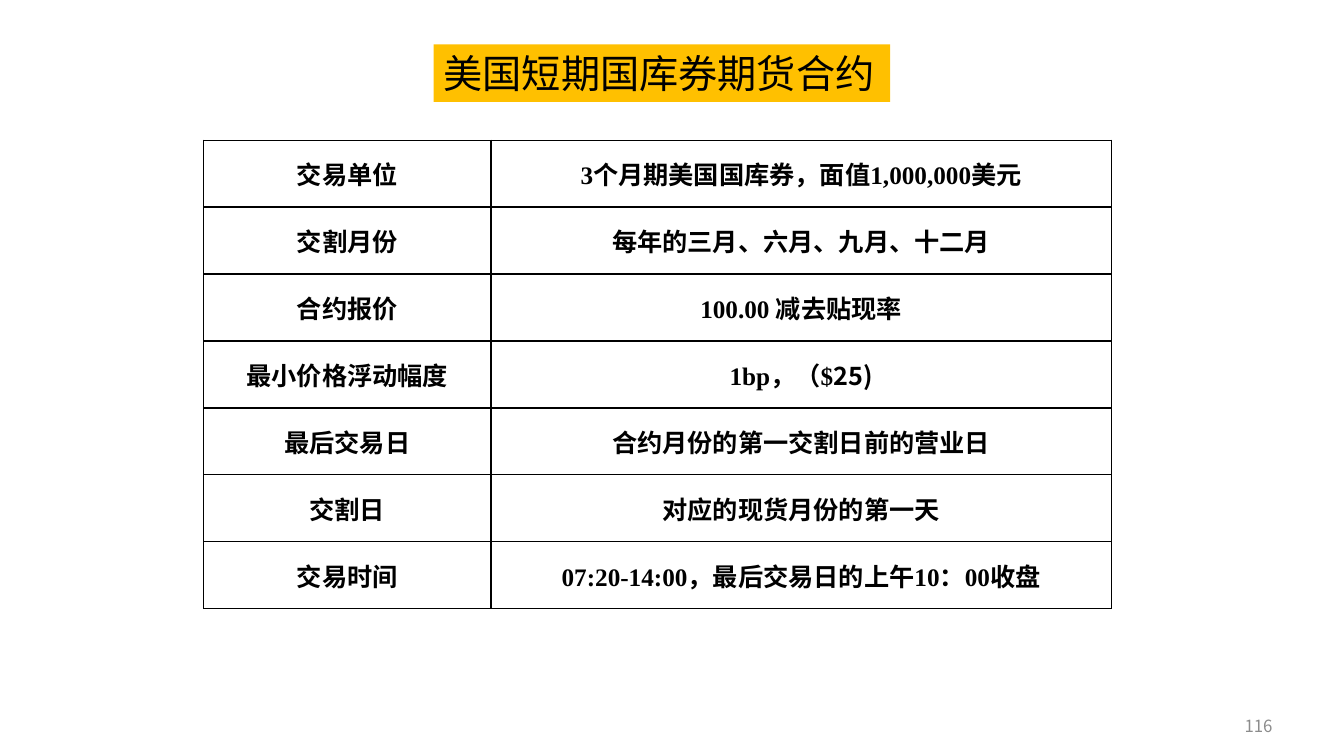
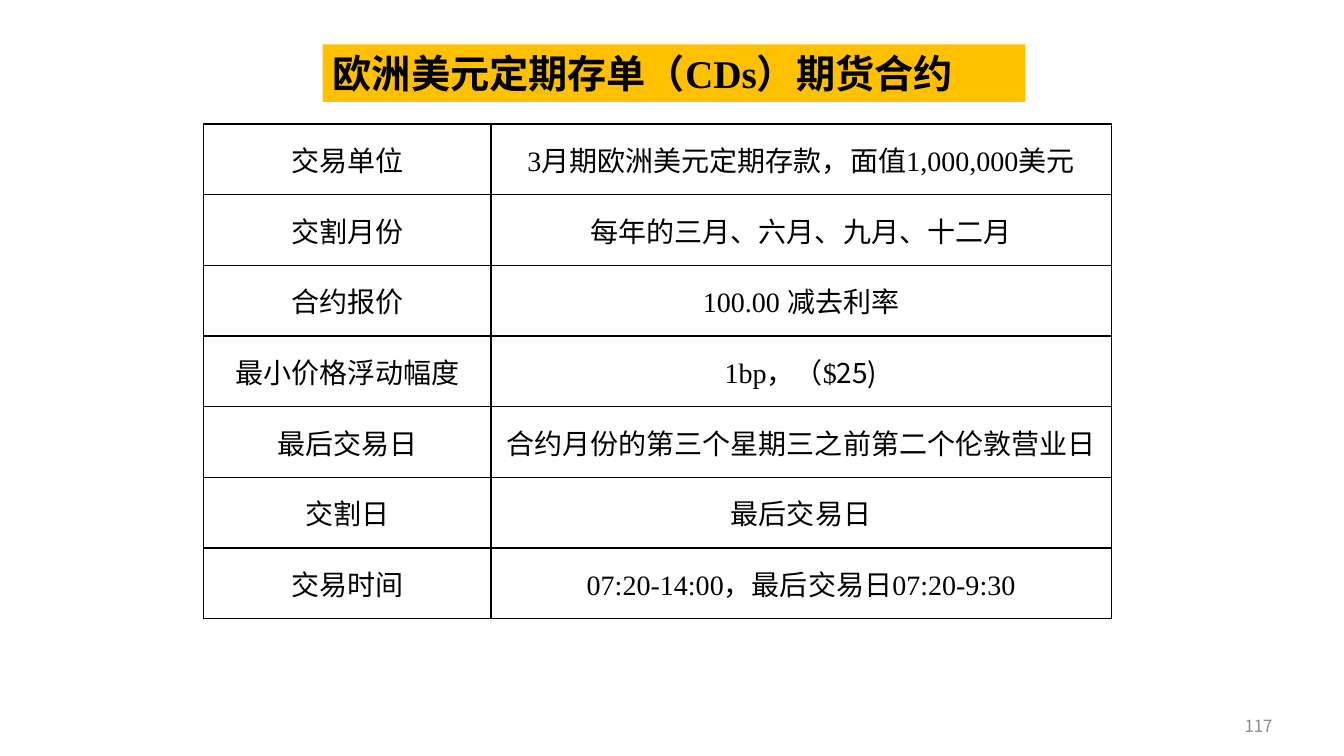
from dataclasses import dataclass

from lxml.etree import SubElement
from pptx import Presentation
from pptx.dml.color import RGBColor
from pptx.enum.text import MSO_ANCHOR, MSO_AUTO_SIZE, PP_ALIGN
from pptx.oxml import parse_xml
from pptx.oxml.ns import nsdecls, qn
from pptx.util import Inches, Pt


@dataclass(frozen=True)
class Theme:
    ink: str = "000000"
    paper: str = "FFFFFF"
    band: str = "FFC000"
    muted: str = "8C8C8C"
    sans: str = "Noto Sans CJK SC"
    serif: str = "Times New Roman"
    title_size: int = 28
    number_size: int = 12
    border_width: int = 1


THEME = Theme()
SLIDE_SIZE = (13.33, 7.5)
NUMBER_BOX = (10.24, 6.9, 2.48, 0.6)
TITLE_TOP, TITLE_HEIGHT = 0.44, 0.57
TABLE_LEFT = 2.02
COLUMNS = (2.85, 6.15)

TERMS = ("交易单位", "交割月份", "合约报价", "最小价格浮动幅度",
         "最后交易日", "交割日", "交易时间")
MONTHS = "每年的三月、六月、九月、十二月"
TICK = (("1bp，（$", THEME.serif), ("25)", THEME.sans))

CONTRACTS = (
    {
        "number": "116",
        "title": "美国短期国库券期货合约",
        "title_span": (4.3, 4.53),
        "title_font": {"face": THEME.sans, "bold": False},
        "table_span": (1.39, 4.65),
        "body_font": {"size": 18, "bold": True},
        "details": (
            "3个月期美国国库券，面值1,000,000美元",
            MONTHS,
            "100.00 减去贴现率",
            TICK,
            "合约月份的第一交割日前的营业日",
            "对应的现货月份的第一天",
            "07:20-14:00，最后交易日的上午10：00收盘",
        ),
    },
    {
        "number": "117",
        "title": "欧洲美元定期存单（CDs）期货合约",
        "title_span": (3.2, 6.97),
        "title_font": {"face": THEME.serif, "bold": True},
        "table_span": (1.23, 4.91),
        "body_font": {"size": 20, "bold": False},
        "details": (
            "3月期欧洲美元定期存款，面值1,000,000美元",
            MONTHS,
            "100.00 减去利率",
            TICK,
            "合约月份的第三个星期三之前第二个伦敦营业日",
            "最后交易日",
            "07:20-14:00，最后交易日07:20-9:30",
        ),
    },
)


def write(frame, pieces, align, size, bold=False, color=THEME.ink):
    paragraph = frame.paragraphs[0]
    paragraph.alignment = align
    for words, face in pieces:
        run = paragraph.add_run()
        run.text = words
        formats = {"name": face, "size": Pt(size), "bold": bold}
        for attribute, value in formats.items():
            setattr(run.font, attribute, value)
        run.font.color.rgb = RGBColor.from_string(color)
        east_asian = SubElement(run.font._element, qn("a:ea"))
        east_asian.set("typeface", THEME.sans)


def add_title(slide, contract):
    title = slide.shapes.title
    left, width = contract["title_span"]
    place = {"left": left, "top": TITLE_TOP, "width": width, "height": TITLE_HEIGHT}
    for attribute, value in place.items():
        setattr(title, attribute, Inches(value))
    title.fill.solid()
    title.fill.fore_color.rgb = RGBColor.from_string(THEME.band)
    frame = title.text_frame
    frame.auto_size = MSO_AUTO_SIZE.NONE
    frame.vertical_anchor = MSO_ANCHOR.MIDDLE
    font = contract["title_font"]
    write(frame, [(contract["title"], font["face"])], PP_ALIGN.LEFT,
          THEME.title_size, font["bold"])


def add_number(slide, number):
    frame = slide.shapes.add_textbox(*map(Inches, NUMBER_BOX)).text_frame
    frame.word_wrap = True
    frame.vertical_anchor = MSO_ANCHOR.MIDDLE
    write(frame, [(number, THEME.sans)], PP_ALIGN.RIGHT,
          THEME.number_size, color=THEME.muted)


def add_borders(cell):
    properties = cell._tc.get_or_add_tcPr()
    for index, side in enumerate(("lnL", "lnR", "lnT", "lnB")):
        properties.insert(index, parse_xml(
            f'<a:{side} {nsdecls("a")} w="{Pt(THEME.border_width)}">'
            f'<a:solidFill><a:srgbClr val="{THEME.ink}"/></a:solidFill></a:{side}>'))


def add_terms(slide, contract):
    top, height = contract["table_span"]
    rows = list(zip(TERMS, contract["details"]))
    table = slide.shapes.add_table(
        len(rows), len(COLUMNS), Inches(TABLE_LEFT), Inches(top),
        Inches(sum(COLUMNS)), Inches(height)).table
    table.first_row = table.horz_banding = False
    for column, width in zip(table.columns, COLUMNS):
        column.width = Inches(width)
    for row_index, row in enumerate(rows):
        for column_index, content in enumerate(row):
            cell = table.cell(row_index, column_index)
            cell.fill.solid()
            cell.fill.fore_color.rgb = RGBColor.from_string(THEME.paper)
            cell.vertical_anchor = MSO_ANCHOR.MIDDLE
            add_borders(cell)
            pieces = [(content, THEME.serif)] if isinstance(content, str) else content
            write(cell.text_frame, pieces, PP_ALIGN.CENTER, **contract["body_font"])


def main():
    deck = Presentation()
    deck.slide_width, deck.slide_height = map(Inches, SLIDE_SIZE)
    title_only = deck.slide_layouts[5]
    for contract in CONTRACTS:
        slide = deck.slides.add_slide(title_only)
        add_number(slide, contract["number"])
        add_title(slide, contract)
        add_terms(slide, contract)
    deck.save("out.pptx")


if __name__ == "__main__":
    main()
